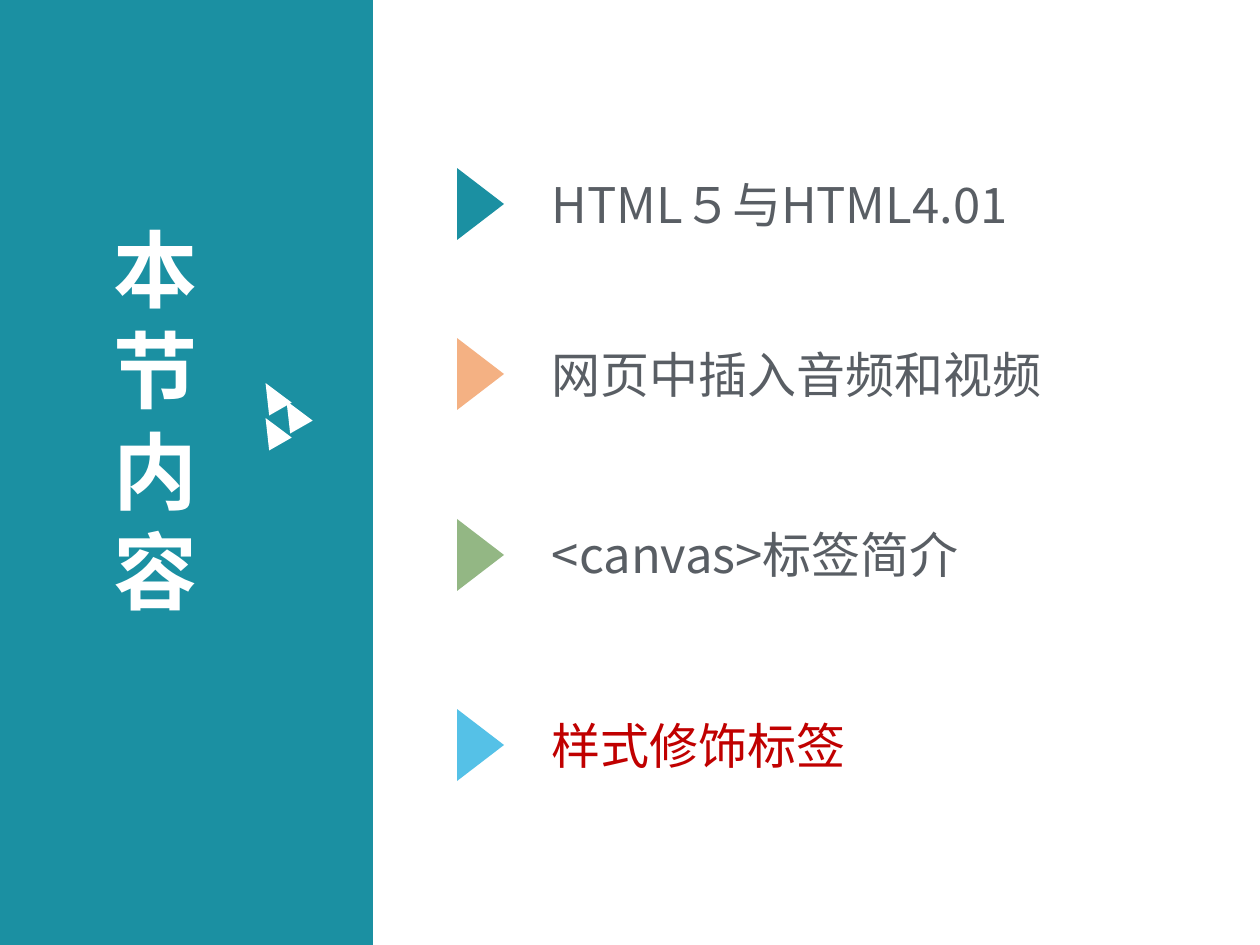
import pptx
import pptx.util
import pptx.dml.color
import pptx.enum.shapes
import pptx.enum.text

PX = 914400 / 126
FONT = "Noto Sans CJK SC"
HUES = {"teal": "1B90A2", "peach": "F4B183", "green": "93B784", "sky": "55C1E7",
        "white": "FFFFFF", "gray": "595E64", "red": "C00000"}
ROWS = [(168, "teal", "gray", "HTML５与HTML4.01"),
        (338, "peach", "gray", "网页中插入音频和视频"),
        (519, "green", "gray", "<canvas>标签简介"),
        (709, "sky", "red", "样式修饰标签")]
KIND = pptx.enum.shapes.MSO_SHAPE


def emu(*nums):
    """Turn px lengths into EMU."""
    return [pptx.util.Emu(round(n * PX)) for n in nums]


def apply(item, form):
    """Set each attribute of the item from a dict."""
    for name, value in form.items():
        setattr(item, name, value)


def tint(hue):
    """Return the named colour."""
    return pptx.dml.color.RGBColor.from_string(HUES[hue])


def shape(slide, kind, box, hue, turn=0):
    """Add a flat filled shape."""
    item = slide.shapes.add_shape(kind, *emu(*box))
    item.shadow.inherit = False
    item.fill.solid()
    item.fill.fore_color.rgb = tint(hue)
    item.line.fill.background()
    item.rotation = turn


def write(item, text, hue, size, bold=False, lead=None):
    """Fill a text holder with one styled paragraph."""
    left, top = emu(13, 6)
    apply(item.text_frame, {
        "text": text, "word_wrap": True,
        "auto_size": pptx.enum.text.MSO_AUTO_SIZE.NONE,
        "vertical_anchor": pptx.enum.text.MSO_ANCHOR.TOP,
        "margin_left": left, "margin_right": left,
        "margin_top": top, "margin_bottom": top})
    para = item.text_frame.paragraphs[0]
    apply(para, {"alignment": pptx.enum.text.PP_ALIGN.LEFT, "line_spacing": lead})
    font = para.runs[0].font
    apply(font, {"name": FONT, "size": pptx.util.Pt(size), "bold": bold})
    font.color.rgb = tint(hue)
    face = font._element.makeelement(pptx.oxml.ns.qn("a:ea"), {"typeface": FONT})
    font._element.find(pptx.oxml.ns.qn("a:latin")).addnext(face)


def panel(slide, x, y, w, h):
    """Draw the side band with its title and cluster of arrows."""
    shape(slide, KIND.RECTANGLE, (x, y, w, h), "teal")
    title = slide.shapes.title
    apply(title, dict(zip(("left", "top", "width", "height"),
                          emu(x + 101, y + 212, 165, 420))))
    write(title, "本节内容", "white", 48, True, pptx.util.Pt(57.5))
    slide.shapes._spTree.append(title._element)
    for dx, dy in ((0, 0), (0, 35), (21, 18)):
        shape(slide, KIND.ISOSCELES_TRIANGLE,
              (x + 260 + dx, y + 381 + dy, 26, 30), "white", -29.8)


def entry(slide, x, y, w, h, mark, hue, text):
    """Draw one agenda line with its pointer."""
    tall = 47
    shape(slide, KIND.ISOSCELES_TRIANGLE,
          (x + (tall - h) / 2, y + (h - tall) / 2, h, tall), mark, 90)
    box = slide.shapes.add_textbox(*emu(x + 82, y, w - 82, h))
    write(box, text, hue, 28)


def main():
    """Build the agenda slide."""
    deck = pptx.Presentation()
    deck.slide_width, deck.slide_height = emu(1260, 945)
    slide = deck.slides.add_slide(deck.slide_layouts[5])
    panel(slide, 0, 0, 373, 945)
    for y, mark, hue, text in ROWS:
        entry(slide, 457, y, 701, 72, mark, hue, text)
    deck.save("out.pptx")


if __name__ == "__main__":
    main()
